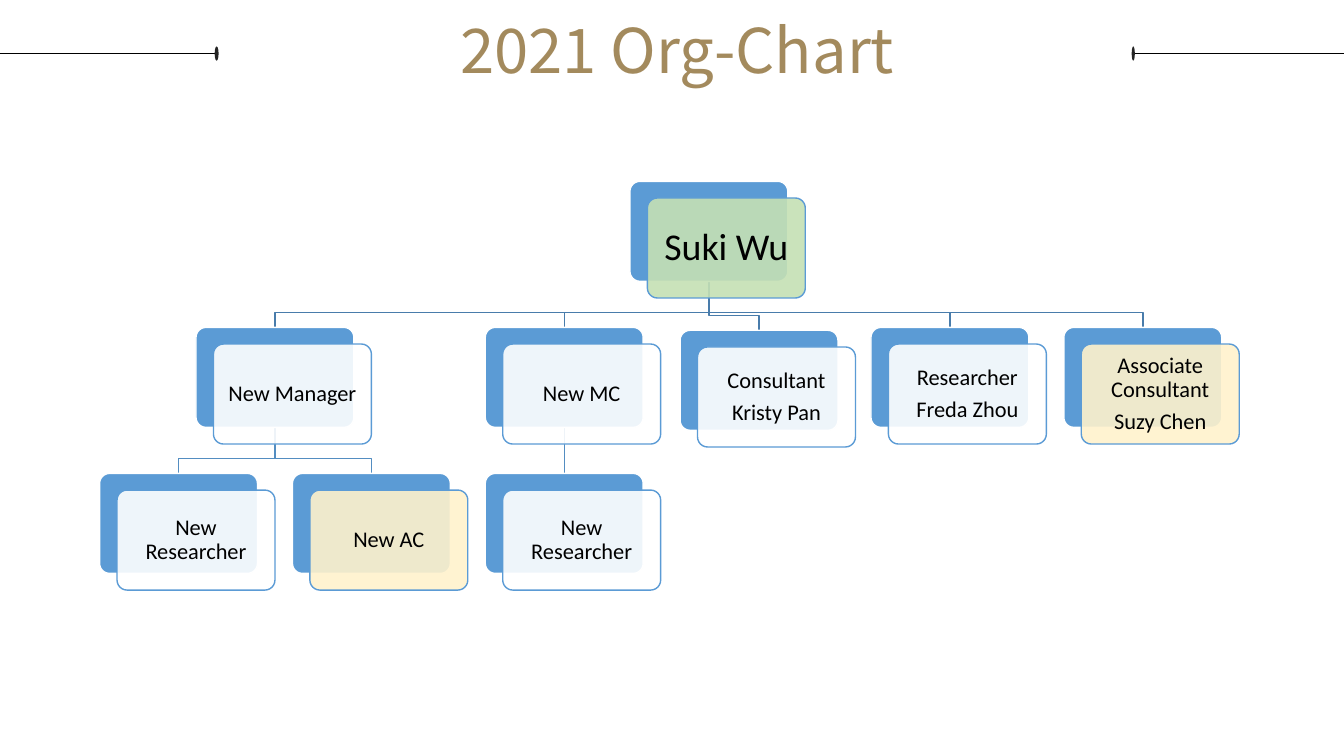
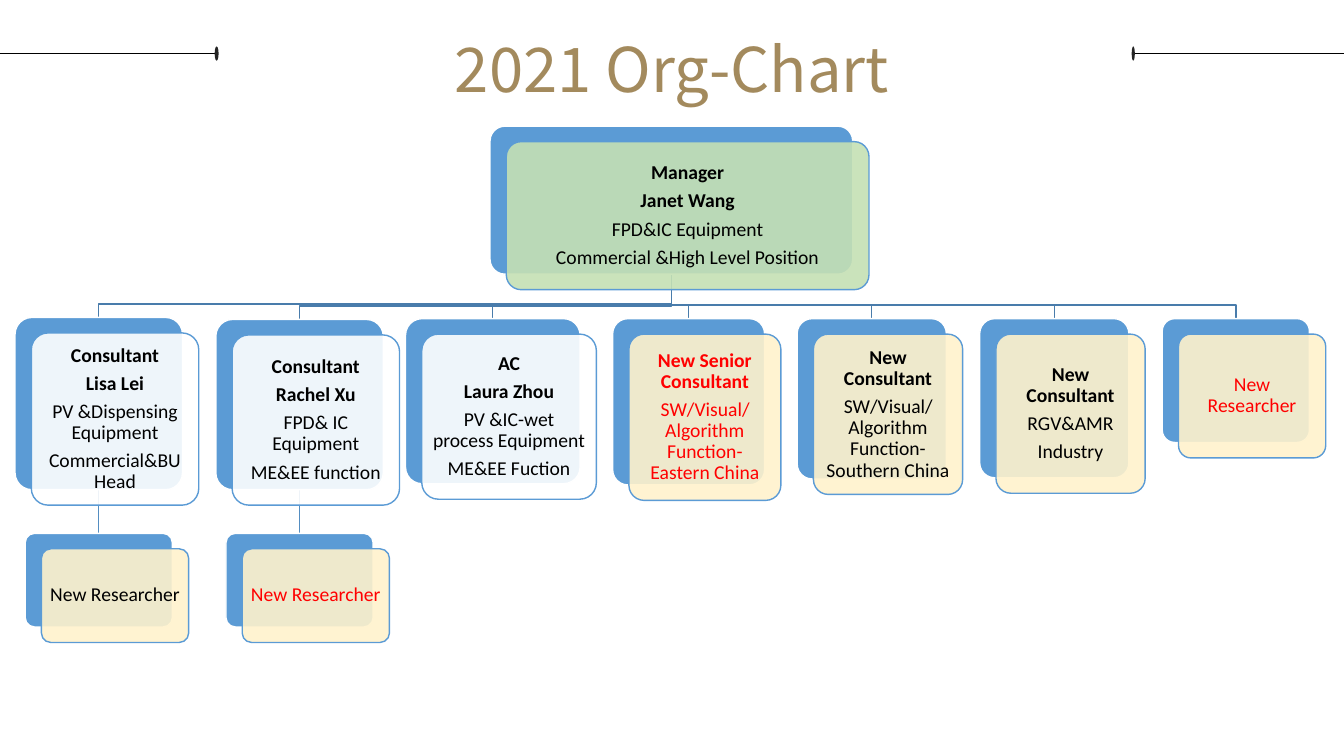
from dataclasses import dataclass
from typing import Optional

from lxml import etree
from pptx import Presentation, util as u
from pptx.dml import color
from pptx.enum import shapes, text
from pptx.oxml import ns

COLOURS = {
    "title": "A38A5D", "rule": "000000", "dot": "252525",
    "back": "5B9BD5", "edge": "FFFFFF", "ink": "000000", "alert": "FF0000",
    "lead": "C5E0B4", "filled": "FFFFFF", "open": "FFF2CC",
    "upper_link": "497CAB", "lower_link": "538DC1",
}
TITLE = {"size": u.Pt(44), "name": "Noto Sans CJK SC"}
CENTRED = {"alignment": text.PP_ALIGN.CENTER}


@dataclass
class Box:
    left: float
    top: float
    width: float
    height: float

    def lengths(self):
        return [u.Cm(v) for v in (self.left, self.top, self.width, self.height)]

    def moved(self, across, down):
        return Box(self.left + across, self.top + down, self.width, self.height)

    @property
    def centre(self):
        return self.left + self.width / 2

    @property
    def bottom(self):
        return self.top + self.height


@dataclass
class Card:
    box: Box
    heads: list
    details: list
    tint: str = "filled"
    ink: str = "ink"
    parent: Optional[int] = 0
    size: Optional[int] = None


@dataclass
class Style:
    size: int
    across: float
    down: float
    bend: float


def rgb(name):
    return color.RGBColor.from_string(COLOURS[name])


def assign(target, values):
    for name, value in values.items():
        setattr(target, name, value)


def set_line(shape, name, points):
    shape.line.color.rgb = rgb(name)
    shape.line.width = u.Pt(points)


def add_rule(page, x1, y1, x2, y2, name, points):
    ends = [u.Cm(v) for v in (x1, y1, x2, y2)]
    rule = page.shapes.add_connector(shapes.MSO_CONNECTOR.STRAIGHT, *ends)
    set_line(rule, name, points)
    etree.SubElement(rule.element.spPr, ns.qn("a:effectLst"))


def add_shape(page, kind, box, fill):
    shape = page.shapes.add_shape(kind, *box.lengths())
    shape.shadow.inherit = False
    shape.fill.solid()
    shape.fill.fore_color.rgb = rgb(fill)
    return shape


def write(box, lines, paragraph_format, font_format, ink):
    for index, (line, bold) in enumerate(lines):
        para = box.paragraphs[0] if index == 0 else box.add_paragraph()
        assign(para, paragraph_format)
        span = para.add_run()
        span.text = line
        assign(span.font, {**font_format, "bold": bold})
        span.font.color.rgb = rgb(ink)


def header(page, box):
    for start, end, dot, width in ((-0.05, 5.44, 5.41, 0.1), (28.58, 33.87, 28.52, 0.08)):
        add_rule(page, start, 1.35, end, 1.35, "rule", 0.75)
        knob = add_shape(page, shapes.MSO_SHAPE.OVAL, Box(dot, 1.17, width, 0.36), "dot")
        knob.line.fill.background()
    frame = page.shapes.add_textbox(*box.lengths()).text_frame
    frame.word_wrap = True
    write(frame, [("2021 Org-Chart", False)], {**CENTRED, "line_spacing": 1.5}, TITLE, "title")


def add_link(page, parent, child, bend, name):
    if abs(parent.centre - child.centre) < 0.01:
        add_rule(page, parent.centre, parent.bottom, child.centre, child.top, name, 1)
        return
    level = child.top - bend
    points = [(parent.centre, parent.bottom), (parent.centre, level),
              (child.centre, level), (child.centre, child.top)]
    start, *rest = [(u.Cm(x), u.Cm(y)) for x, y in points]
    builder = page.shapes.build_freeform(*start)
    builder.add_line_segments(rest, close=False)
    elbow = builder.convert_to_shape()
    elbow.shadow.inherit = False
    elbow.fill.background()
    set_line(elbow, name, 1)


def add_card(page, box, card, style):
    size = card.size or style.size
    kind = shapes.MSO_SHAPE.ROUNDED_RECTANGLE
    back = add_shape(page, kind, box, "back")
    front = add_shape(page, kind, box.moved(style.across, style.down), card.tint)
    for shape, edge in ((back, "edge"), (front, "back")):
        shape.adjustments[0] = 0.1
        set_line(shape, edge, 1)
    tint = front.element.spPr.find(ns.qn("a:solidFill"))[0]
    etree.SubElement(tint, ns.qn("a:alpha"), val="90000")
    frame = front.text_frame
    margins = dict.fromkeys(
        ("margin_left", "margin_top", "margin_right", "margin_bottom"), u.Cm(size * 0.0106))
    assign(frame, {**margins, "word_wrap": True, "vertical_anchor": text.MSO_ANCHOR.MIDDLE})
    lines = [(line, True) for line in card.heads] + [(line, False) for line in card.details]
    spacing = {**CENTRED, "line_spacing": 0.9, "space_after": u.Pt(size * 0.35)}
    write(frame, lines, spacing, {"size": u.Pt(size), "name": "Calibri"}, card.ink)


def org_chart(page, left, top, cards, style):
    boxes = [card.box.moved(left, top) for card in cards]
    for card, box in zip(cards, boxes):
        if card.parent is not None:
            name = "lower_link" if card.parent else "upper_link"
            add_link(page, boxes[card.parent], box, style.bend, name)
    for card, box in zip(cards, boxes):
        add_card(page, box, card, style)


def grid_box(column, row):
    return Box(column * 4.86, row * 3.68, 3.98, 2.52)


def below(box):
    width = 3.71
    return Box(box.centre - width / 2, box.bottom + 1.1, width, 2.36)


def team_page(page):
    header(page, Box(5.46, -0.76, 23.22, 2.74))
    cards = [
        Card(grid_box(2.75, 0), [], ["Suki Wu"], "lead", parent=None, size=27),
        Card(grid_box(0.5, 1), [], ["New Manager"]),
        Card(grid_box(2, 1), [], ["New MC"]),
        Card(grid_box(3.01, 1.02), [], ["Consultant", "Kristy Pan"]),
        Card(grid_box(4, 1), [], ["Researcher", "Freda Zhou"]),
        Card(grid_box(5, 1), [], ["Associate Consultant", "Suzy Chen"], "open"),
        Card(grid_box(0, 2), [], ["New Researcher"], parent=1),
        Card(grid_box(1, 2), [], ["New AC"], "open", parent=1),
        Card(grid_box(2, 2), [], ["New Researcher"], parent=2),
    ]
    org_chart(page, 2.51, 4.57, cards, Style(16, 0.44, 0.42, 0.37))


def equipment_page(page):
    header(page, Box(5.33, -0.28, 23.22, 2.74))
    lisa = Box(0, 4.82, 4.22, 4.34)
    rachel = Box(5.06, 4.87, 4.22, 4.29)
    cards = [
        Card(Box(11.97, 0, 9.14, 3.73), ["Manager", "Janet Wang"],
             ["FPD&IC Equipment", "Commercial &High Level Position"], "lead", parent=None),
        Card(lisa, ["Consultant", "Lisa Lei"],
             ["PV &Dispensing Equipment", "Commercial&BU Head"]),
        Card(rachel, ["Consultant", "Rachel Xu"], ["FPD& IC Equipment", "ME&EE function"]),
        Card(Box(9.84, 4.85, 4.4, 4.16), ["AC", "Laura Zhou"],
             ["PV &IC-wet process Equipment", "ME&EE Fuction"]),
        Card(Box(15.06, 4.85, 3.83, 4.19), ["New Senior Consultant"],
             ["SW/Visual/Algorithm Function-Eastern China"], "open", "alert"),
        Card(Box(19.71, 4.85, 3.76, 4.04), ["New Consultant"],
             ["SW/Visual/Algorithm Function-Southern China"], "open"),
        Card(Box(24.31, 4.85, 3.76, 4.01), ["New Consultant"], ["RGV&AMR", "Industry"], "open"),
        Card(Box(28.91, 4.85, 3.71, 3.12), [], ["New Researcher"], "open", "alert"),
        Card(below(lisa), [], ["New Researcher"], "open", parent=1),
        Card(below(rachel), [], ["New Researcher"], "open", "alert", parent=2),
    ]
    org_chart(page, 0.38, 3.18, cards, Style(14, 0.41, 0.39, 0.34))


def main():
    deck = Presentation()
    assign(deck, {"slide_width": u.Cm(33.87), "slide_height": u.Cm(19.05)})
    for build in (team_page, equipment_page):
        build(deck.slides.add_slide(deck.slide_layouts[6]))
    deck.save("out.pptx")


if __name__ == "__main__":
    main()
